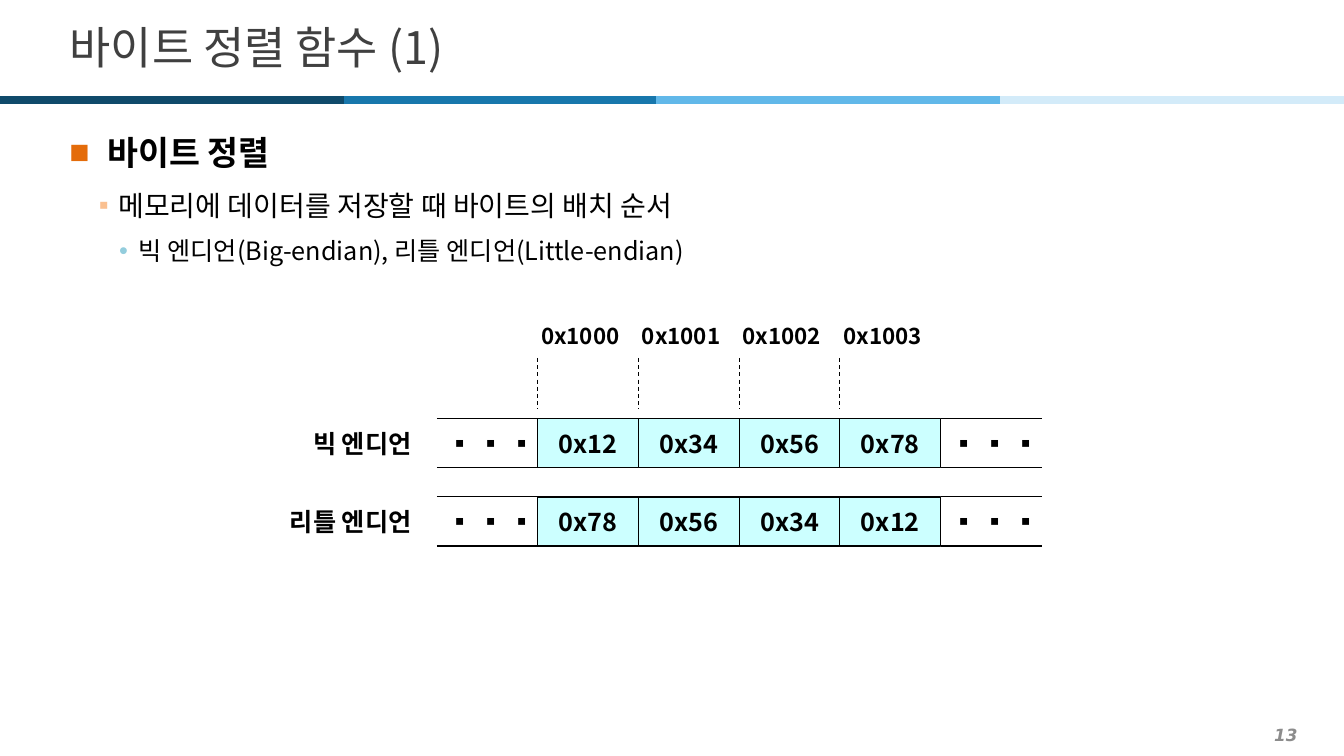
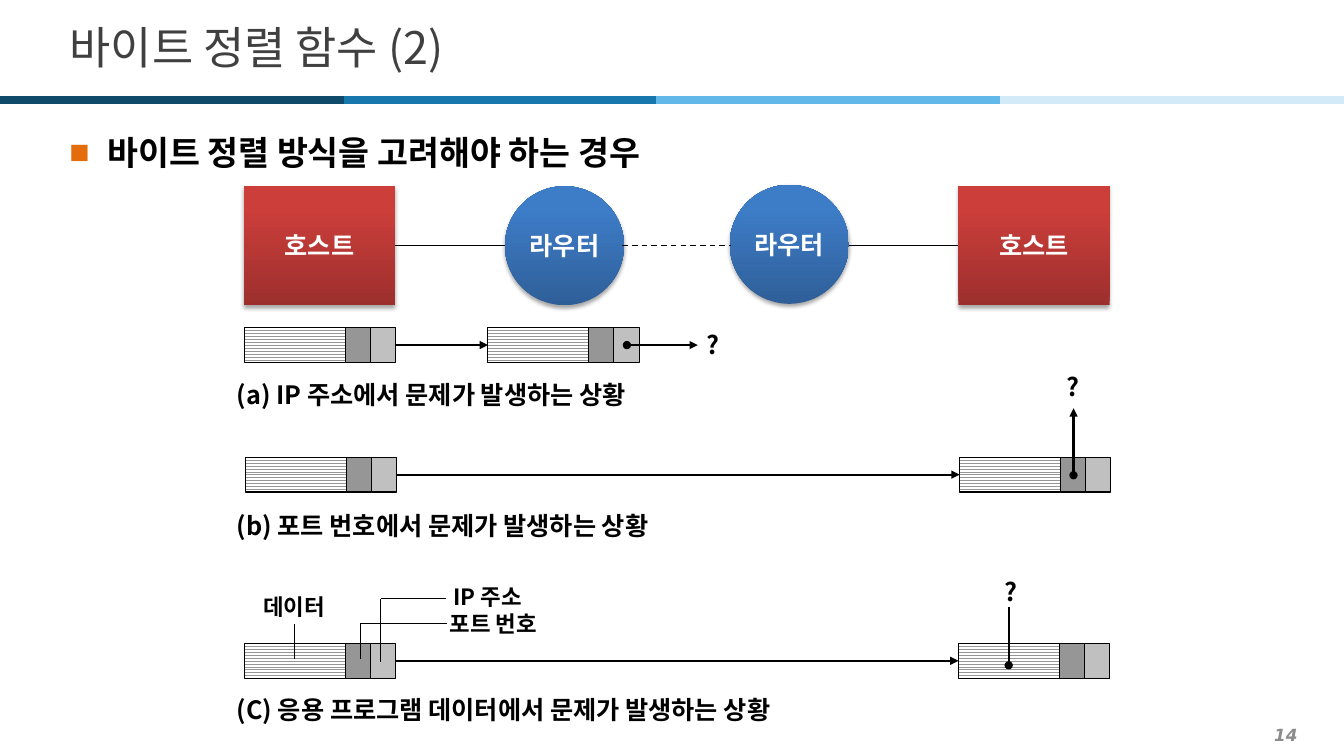
import itertools

import lxml.etree
import pptx
import pptx.dml.color
import pptx.enum.dml
import pptx.enum.shapes
import pptx.enum.text
import pptx.oxml.ns
import pptx.util

Pt = pptx.util.Pt
RGB = pptx.dml.color.RGBColor
qn = pptx.oxml.ns.qn
ALIGN = pptx.enum.text.PP_ALIGN
ANCHOR = pptx.enum.text.MSO_ANCHOR
SHAPE = pptx.enum.shapes.MSO_SHAPE
DASH = pptx.enum.dml.MSO_LINE.DASH

BLACK = RGB(0x00, 0x00, 0x00)
WHITE = RGB(0xFF, 0xFF, 0xFF)
TITLE = RGB(0x40, 0x40, 0x40)
NUMBER = RGB(0x8C, 0x8C, 0x8C)
CELL = RGB(0xCC, 0xFF, 0xFF)
DARK = RGB(0x96, 0x96, 0x96)
LIGHT = RGB(0xC0, 0xC0, 0xC0)
REDS = RGB(0x9C, 0x2F, 0x2D), RGB(0xCB, 0x3E, 0x3A)
BLUES = RGB(0x2F, 0x5F, 0x99), RGB(0x3D, 0x7C, 0xC7)
BANDS = (RGB(0x0F, 0x4A, 0x6B), RGB(0x18, 0x77, 0xAC),
         RGB(0x61, 0xB8, 0xE9), RGB(0xD3, 0xEB, 0xF9))
KOREAN = "Noto Sans CJK KR"

# size, bold, font, margin, indent, line spacing, before, after, bullet, bullet colour
LEVELS = (
    (24, True, "Arial", 27, -27, 1.2, 0, 2, "■", "E46C0A"),
    (20, False, KOREAN, 35, -14, 1.3, 2, 2, "▪", "FAC090"),
    (18, False, KOREAN, 49.5, -14, 1.2, 3.6, 6, "•", "93CDDD"),
)


def put(shape, text, size=18, bold=True, italic=False, color=BLACK, font=KOREAN,
        align=ALIGN.LEFT, anchor=ANCHOR.MIDDLE, wrap=False):
    """Add one formatted paragraph to the shape and return it."""
    frame = shape.text_frame
    para = frame.add_paragraph() if frame.text else frame.paragraphs[0]
    frame.word_wrap, frame.vertical_anchor = wrap, anchor
    para.alignment = align
    run = para.add_run()
    run.text = text
    run.font.size, run.font.bold, run.font.italic = Pt(size), bold, italic
    run.font.color.rgb, run.font.name = color, font
    east = lxml.etree.SubElement(run._r.get_or_add_rPr(), qn("a:ea"))
    east.set("typeface", KOREAN)
    return para


def link(page, x1, y1, x2, y2, color=BLACK, width=0.75, dash=None,
         head=None, tail=None, start=None, end=None):
    """Draw a line; start and end are rectangles joined at right and left."""
    line = page.shapes.add_connector(
        pptx.enum.shapes.MSO_CONNECTOR.STRAIGHT, Pt(x1), Pt(y1), Pt(x2), Pt(y2))
    if start is not None:
        line.begin_connect(start, 3)
    if end is not None:
        line.end_connect(end, 1)
    line.line.color.rgb, line.line.width = color, Pt(width)
    if dash:
        line.line.dash_style = dash
    for tag, kind in (("a:headEnd", head), ("a:tailEnd", tail)):
        if kind:
            lxml.etree.SubElement(line.line._get_or_add_ln(), qn(tag)).set("type", kind)
    lxml.etree.SubElement(line._element.spPr, qn("a:effectLst"))
    return line


deck = pptx.Presentation()
deck.slide_width, deck.slide_height = Pt(960), Pt(540)
layout = deck.slide_layouts[5]
head = layout.placeholders[0]
head.left, head.top, head.width, head.height = Pt(42.5), Pt(9), Pt(879), Pt(49)

# Titles, outlines and page numbers
pages = []
for number, title, items in (
    (13, "바이트 정렬 함수 (1)", (
        "바이트 정렬",
        "메모리에 데이터를 저장할 때 바이트의 배치 순서",
        "빅 엔디언(Big-endian), 리틀 엔디언(Little-endian)")),
    (14, "바이트 정렬 함수 (2)", ("바이트 정렬 방식을 고려해야 하는 경우",)),
):
    page = deck.slides.add_slide(layout)
    pages.append(page)
    put(page.shapes.title, title, size=32, bold=False, color=TITLE, wrap=True)
    body = page.shapes.add_textbox(Pt(42.5), Pt(85), Pt(879), Pt(434))
    for item, level in zip(items, LEVELS):
        size, bold, font, margin, indent, space, before, after, mark, tint = level
        para = put(body, item, size=size, bold=bold, font=font,
                   anchor=ANCHOR.TOP, wrap=True)
        para.line_spacing = space
        para.space_before, para.space_after = Pt(before), Pt(after)
        props = para._p.get_or_add_pPr()
        props.set("marL", str(Pt(margin)))
        props.set("indent", str(Pt(indent)))
        paint = lxml.etree.SubElement(props, qn("a:buClr"))
        lxml.etree.SubElement(paint, qn("a:srgbClr")).set("val", tint)
        lxml.etree.SubElement(props, qn("a:buFont")).set("typeface", "Arial")
        lxml.etree.SubElement(props, qn("a:buChar")).set("char", mark)
    foot = page.shapes.add_textbox(Pt(14.4), Pt(513.5), Pt(919.5), Pt(22.5))
    put(foot, str(number), size=12, italic=True, color=NUMBER,
        font="DejaVu Sans", align=ALIGN.RIGHT, wrap=True)
order, network = pages

# The bands belong to the layout, so both slides share them
edges = itertools.pairwise((0, 245.7, 468.7, 714.2, 960))
for (left, right), color in zip(edges, BANDS):
    band = link(order, left, 71.4, right, 71.4, color=color, width=6)
    layout.shapes.element.append(band._element)

# Byte order: one row of memory for each method
LEFT, STEP, HIGH = 384, 72, 35
for top, name, values in (
    (299, "빅 엔디언", ("0x12", "0x34", "0x56", "0x78")),
    (355, "리틀 엔디언", ("0x78", "0x56", "0x34", "0x12")),
):
    label = order.shapes.add_textbox(Pt(161), Pt(top), Pt(140), Pt(HIGH))
    put(label, name, align=ALIGN.RIGHT)
    for i, value in enumerate(values):
        cell = order.shapes.add_shape(
            SHAPE.RECTANGLE, Pt(LEFT + i * STEP), Pt(top), Pt(STEP), Pt(HIGH))
        cell.shadow.inherit = False
        cell.fill.solid()
        cell.fill.fore_color.rgb = CELL
        cell.line.color.rgb, cell.line.width = BLACK, Pt(0.75)
        put(cell, value, align=ALIGN.CENTER)
    for x in (LEFT - STEP, LEFT + 4 * STEP):
        dots = order.shapes.add_textbox(Pt(x - 11.5), Pt(top), Pt(100), Pt(HIGH))
        put(dots, "▪ ▪ ▪", align=ALIGN.CENTER)
        for y in (top, top + HIGH):
            link(order, x, y, x + STEP, y)

for i in range(4):
    x = LEFT + i * STEP
    place = order.shapes.add_textbox(Pt(x - 19.5), Pt(222.3), Pt(100), Pt(HIGH))
    put(place, f"0x{1000 + i}", size=16, align=ALIGN.CENTER)
    link(order, x, 255.6, x, 292.3, dash=DASH)

# Hosts and routers
nodes = []
for kind, name, x, y, width, colors in (
    (SHAPE.RECTANGLE, "호스트", 174.2, 133, 108, REDS),
    (SHAPE.OVAL, "라우터", 360.7, 133, 85, BLUES),
    (SHAPE.OVAL, "라우터", 521.3, 132, 85, BLUES),
    (SHAPE.RECTANGLE, "호스트", 684.6, 133, 108, REDS),
):
    node = network.shapes.add_shape(kind, Pt(x), Pt(y), Pt(width), Pt(85))
    nodes.append(node)
    node.line.fill.background()
    node.fill.gradient()
    node.fill.gradient_angle = 90
    for stop, color, spot in zip(node.fill.gradient_stops, colors, (0, 0.8)):
        stop.color.rgb, stop.position = color, spot
    node.shadow.inherit = False
    shade = lxml.etree.SubElement(
        node._element.spPr.find(qn("a:effectLst")), qn("a:outerShdw"),
        blurRad=str(Pt(3.1)), dist=str(Pt(1.8)), dir="5400000", rotWithShape="0")
    black = lxml.etree.SubElement(shade, qn("a:srgbClr"), val="000000")
    lxml.etree.SubElement(black, qn("a:alpha"), val="35000")
    put(node, name, color=WHITE, align=ALIGN.CENTER)

link(network, 282.2, 175.5, 360.7, 175.5, width=1, start=nodes[0])
link(network, 444.5, 175.2, 522.5, 175.2, width=1, dash=DASH)
link(network, 606.3, 175.5, 684.6, 175.5, width=1, end=nodes[3])

# Packets: data, port number and IP address, sent from left to right
for x1, x2, y in ((174.5, 348.5, 234), (175.5, 685.5, 326.5), (174.5, 684.6, 459.5)):
    ends = []
    for x in (x1, x2):
        for shift, width, color in ((0, 72, None), (72, 18, DARK), (90, 18, LIGHT)):
            part = network.shapes.add_shape(
                SHAPE.RECTANGLE, Pt(x + shift), Pt(y), Pt(width), Pt(25))
            ends.append(part)
            part.shadow.inherit = False
            part.line.color.rgb, part.line.width = BLACK, Pt(0.75)
            if color:
                part.fill.solid()
                part.fill.fore_color.rgb = color
            else:
                part.fill.patterned()
                part.fill.pattern = pptx.enum.dml.MSO_PATTERN.ZIG_ZAG
                part.fill.fore_color.rgb, part.fill.back_color.rgb = DARK, WHITE
    link(network, x1 + 108, y + 12.5, x2, y + 12.5, width=1.5, tail="triangle",
         start=ends[2], end=ends[3])

# Trouble spots
for x1, y1, x2, y2, tail in (
    (447.8, 246.5, 498.5, 246.5, "triangle"),
    (766.8, 339.5, 766.8, 291.6, "triangle"),
    (720.5, 475.2, 720.5, 433.5, None),
):
    link(network, x1, y1, x2, y2, width=1.5, head="oval", tail=tail)

# Leaders from the labels to the packet parts
for points in (
    (210.5, 445.7, 210.5, 471),
    (272, 427.7, 272, 473),
    (272, 427.7, 318.5, 427.7),
    (257.2, 445.7, 257.2, 471),
    (257.2, 445.7, 319.5, 445.7),
):
    link(network, *points)

for text, x, y, width, high, size, align in (
    ("(a) IP 주소에서 문제가 발생하는 상황", 162, 271.4, 460, 21, 18, ALIGN.LEFT),
    ("(b) 포트 번호에서 문제가 발생하는 상황", 162, 364.5, 460, 21, 18, ALIGN.LEFT),
    ("(C) 응용 프로그램 데이터에서 문제가 발생하는 상황", 162, 496.5, 460, 21, 18, ALIGN.LEFT),
    ("?", 497.5, 238.3, 36, 16, 18, ALIGN.LEFT),
    ("?", 754.6, 268.6, 36, 15, 18, ALIGN.LEFT),
    ("?", 686, 413.5, 72, 18, 18, ALIGN.CENTER),
    ("데이터", 160.2, 424, 100, 18, 16, ALIGN.CENTER),
    ("IP 주소", 316.8, 417, 120, 18, 16, ALIGN.LEFT),
    ("포트 번호", 314, 436.3, 120, 18, 16, ALIGN.LEFT),
):
    note = network.shapes.add_textbox(Pt(x), Pt(y), Pt(width), Pt(high))
    put(note, text, size=size, align=align)

deck.save("out.pptx")
